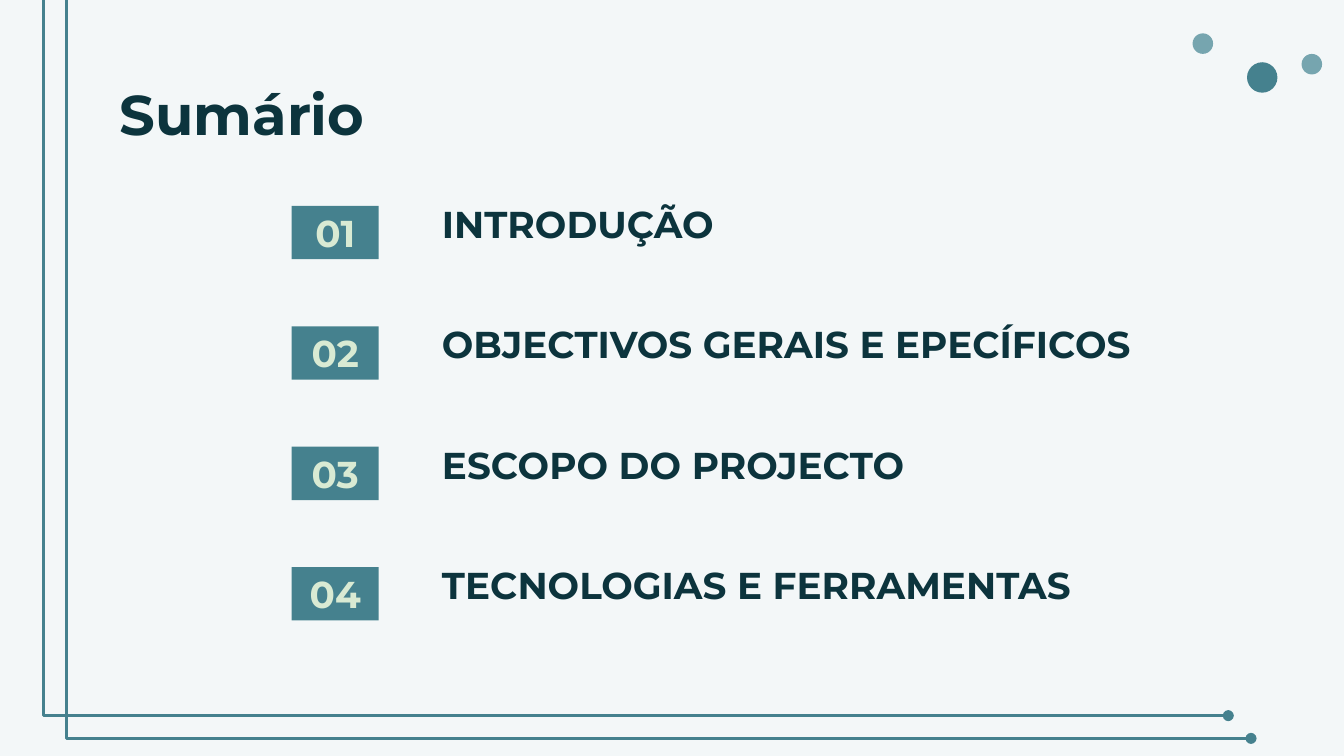
from lxml.etree import SubElement
from pptx import Presentation
from pptx.dml.color import RGBColor
from pptx.enum.shapes import MSO_CONNECTOR as CXN, MSO_SHAPE as SHAPE
from pptx.enum.text import MSO_ANCHOR as ANCHOR, MSO_AUTO_SIZE as AUTO, PP_ALIGN as ALIGN
from pptx.oxml.ns import qn
from pptx.util import Pt

BACKGROUND = RGBColor(0xF3, 0xF7, 0xF8)
TEAL = RGBColor(0x45, 0x81, 0x8E)
LIGHT_TEAL = RGBColor(0x76, 0xA5, 0xAF)
DARK = RGBColor(0x0C, 0x34, 0x3D)
PALE_GREEN = RGBColor(0xD9, 0xEA, 0xD3)

TOPICS = [
    "INTRODUÇÃO",
    "OBJECTIVOS GERAIS E EPECÍFICOS",
    "ESCOPO DO PROJECTO",
    "TECNOLOGIAS E FERRAMENTAS",
]
ROW_TOP, ROW_PITCH, ROW_HEIGHT = 110.3, 64.5, 28.6


class Deck:
    """Draws styled elements on the current slide, with lengths in points."""

    font = "Montserrat"

    def __init__(self, prs):
        self.slide = prs.slides.add_slide(prs.slide_layouts[6])
        self.shapes = self.slide.shapes
        fill = self.slide.background.fill
        fill.solid()
        fill.fore_color.rgb = BACKGROUND

    def set_text(self, sp, text, size, color, anchor, align=ALIGN.LEFT, spacing=1.0):
        tf = sp.text_frame
        tf.word_wrap = True
        tf.auto_size = AUTO.NONE
        tf.vertical_anchor = anchor
        tf.margin_left = tf.margin_right = tf.margin_top = tf.margin_bottom = Pt(7.2)
        p = tf.paragraphs[0]
        p.text = text
        p.alignment = align
        p.line_spacing = spacing
        p.font.name = self.font
        p.font.size = Pt(size)
        p.font.bold = True
        p.font.color.rgb = color

    def shape(self, kind, x, y, w, h, color):
        sp = self.shapes.add_shape(kind, Pt(x), Pt(y), Pt(w), Pt(h))
        sp.shadow.inherit = False
        sp.fill.solid()
        sp.fill.fore_color.rgb = color
        sp.line.fill.background()
        return sp

    def dot(self, cx, cy, size, color):
        self.shape(SHAPE.OVAL, cx - size / 2, cy - size / 2, size, size, color)

    def text(self, x, y, w, h, text, size, anchor, spacing=1.0):
        sp = self.shapes.add_textbox(Pt(x), Pt(y), Pt(w), Pt(h))
        self.set_text(sp, text, size, DARK, anchor, spacing=spacing)

    def badge(self, x, y, w, h, text):
        sp = self.shape(SHAPE.RECTANGLE, x, y, w, h, TEAL)
        self.set_text(sp, text, 20, PALE_GREEN, ANCHOR.MIDDLE, ALIGN.CENTER)

    def corner_line(self, x1, y1, x2, y2):
        cxn = self.shapes.add_connector(CXN.ELBOW, Pt(x1), Pt(y1), Pt(x2), Pt(y2))
        cxn.line.color.rgb = TEAL
        cxn.line.width = Pt(1.5)
        props = cxn._element.spPr
        guides = props.find(qn("a:prstGeom")).get_or_add_avLst()
        SubElement(guides, qn("a:gd"), name="adj1", fmla="val 0")
        SubElement(props.find(qn("a:ln")), qn("a:tailEnd"), type="oval")
        SubElement(props, qn("a:effectLst"))


def main():
    prs = Presentation()
    prs.slide_width, prs.slide_height = Pt(720), Pt(405)
    deck = Deck(prs)

    deck.dot(676.2, 41.5, 16.3, TEAL)
    deck.dot(644.4, 23.4, 11, LIGHT_TEAL)
    deck.dot(702.8, 34.4, 11, LIGHT_TEAL)
    for offset in (0, 12.2):
        deck.corner_line(23.4 + offset, 0, 658 + offset, 383.4 + offset)

    deck.text(57, 35.5, 607, 45, "Sumário", 30, ANCHOR.TOP)
    for i, topic in enumerate(TOPICS):
        y = ROW_TOP + i * ROW_PITCH
        deck.badge(156.3, y, 46.6, ROW_HEIGHT, f"{i + 1:02}")
        deck.text(229.7, y, 404, ROW_HEIGHT, topic, 20, ANCHOR.BOTTOM, 1.15)

    prs.save("out.pptx")


if __name__ == "__main__":
    main()
